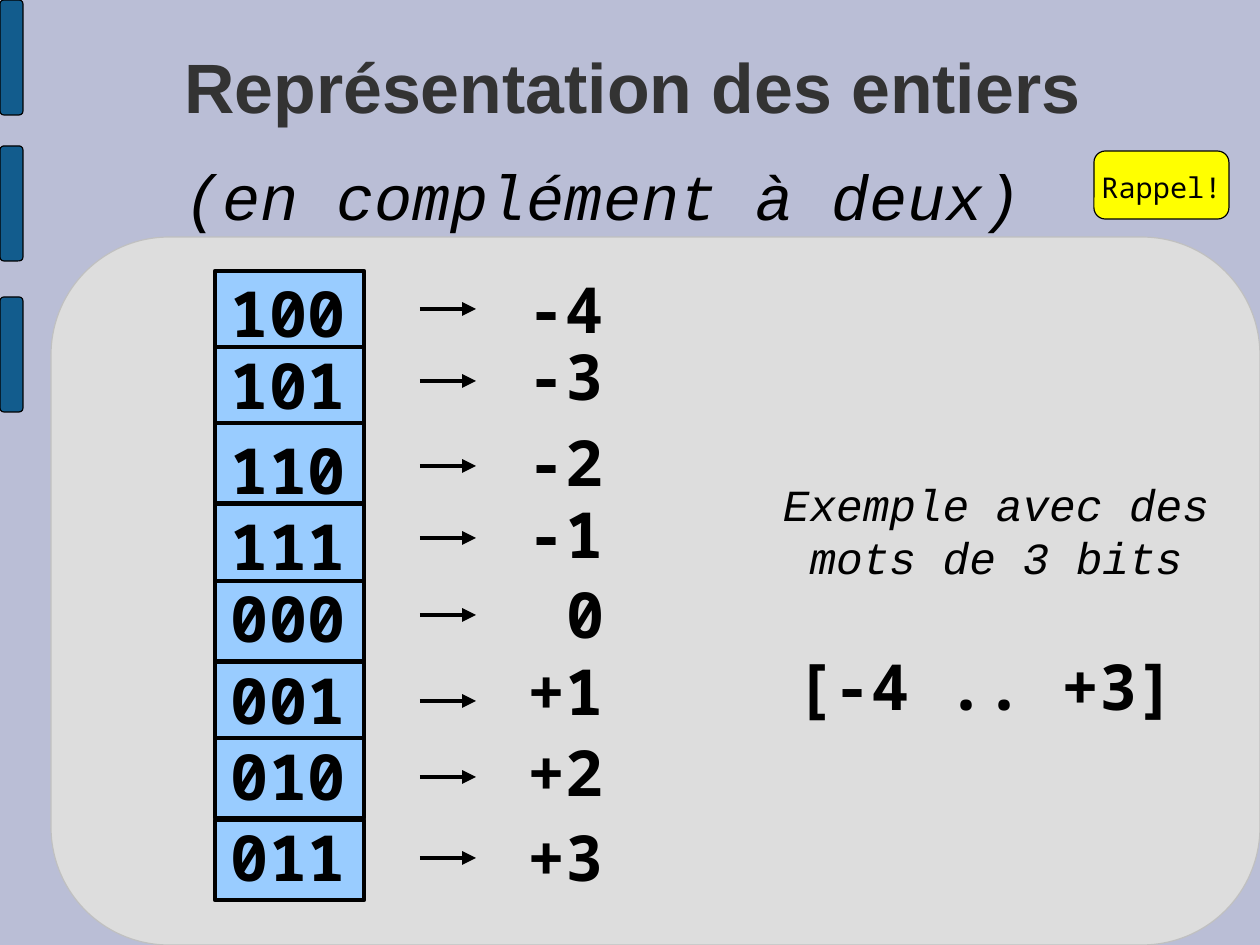
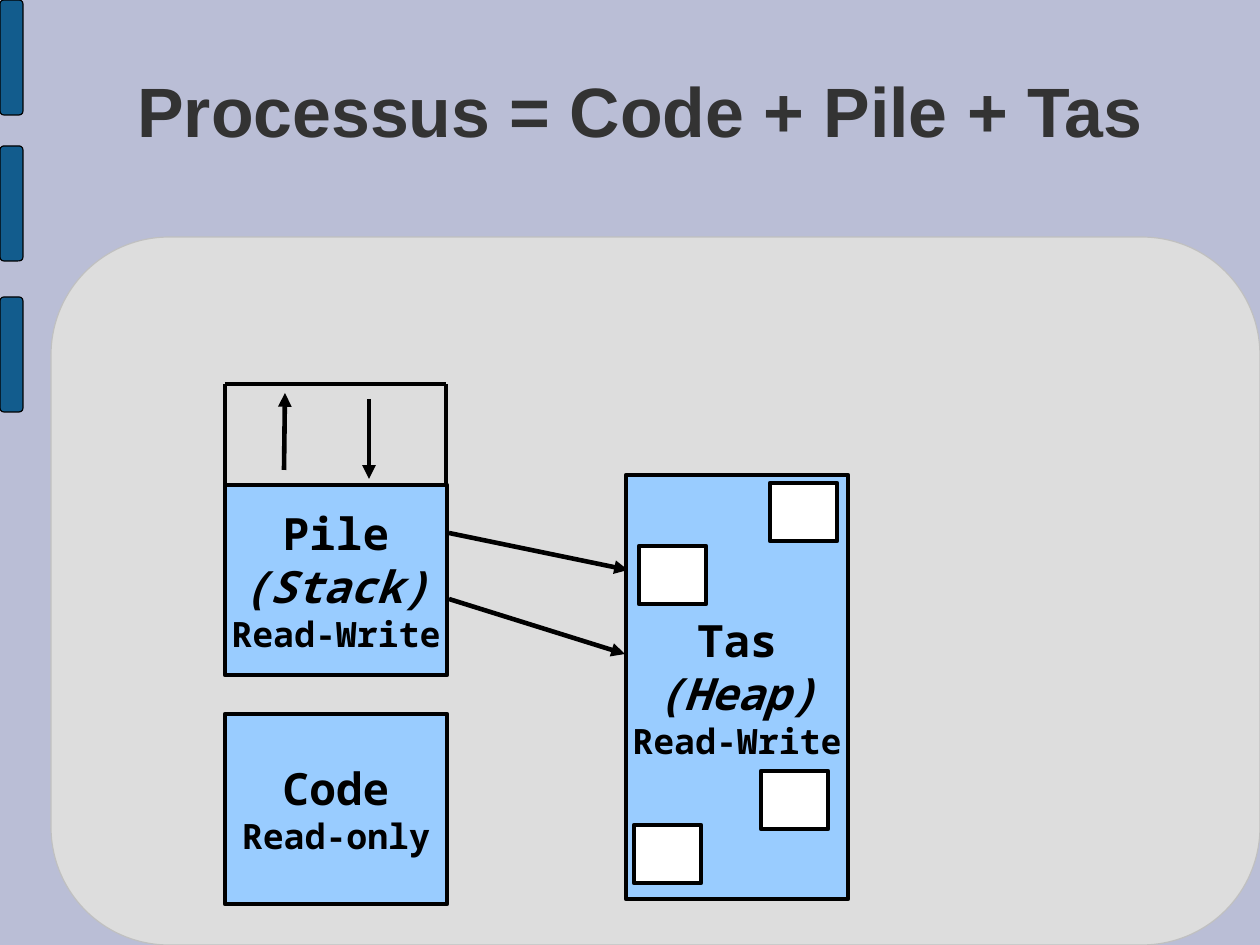
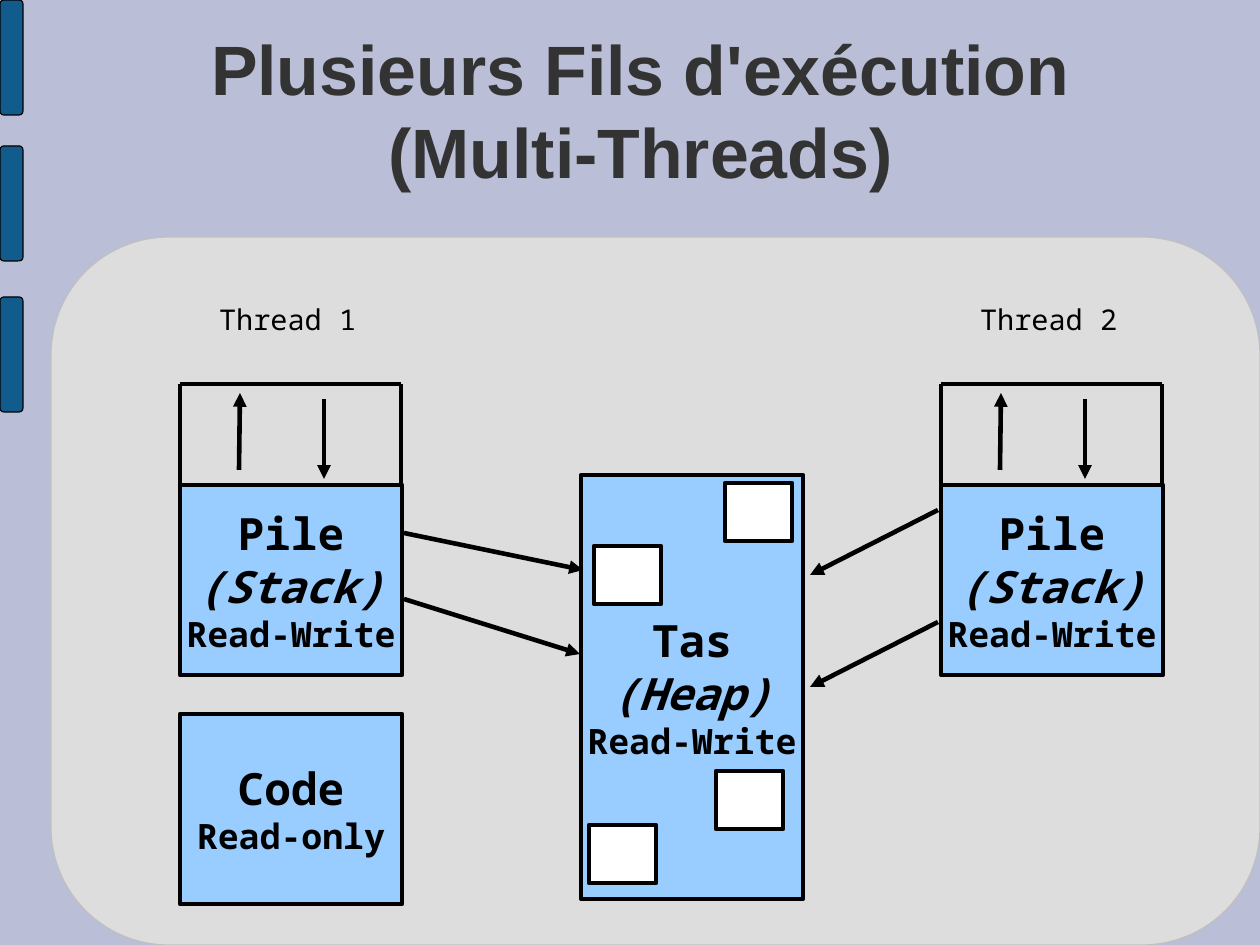
from pptx import Presentation
from pptx.dml.color import RGBColor
from pptx.enum.shapes import MSO_CONNECTOR, MSO_SHAPE
from pptx.enum.text import MSO_ANCHOR, PP_ALIGN
from pptx.oxml.ns import qn
from pptx.util import Pt
from lxml import etree

PX = 8000
RECT, ROUNDED = MSO_SHAPE.RECTANGLE, MSO_SHAPE.ROUNDED_RECTANGLE
STRAIGHT = MSO_CONNECTOR.STRAIGHT
TOP, MIDDLE = MSO_ANCHOR.TOP, MSO_ANCHOR.MIDDLE
LEFT, CENTER, RIGHT = PP_ALIGN.LEFT, PP_ALIGN.CENTER, PP_ALIGN.RIGHT
THIN, THICK = Pt(0.75), Pt(2.89)

COLORS = {
    "background": "BABED6", "panel": "DDDDDD", "panel edge": "C0C0C0",
    "bar": "125C8D", "title": "333333", "ink": "000000",
    "memory": "99CCFF", "object": "FFFFFF", "note": "FFFF00",
}
COLORS = {part: RGBColor.from_string(value) for part, value in COLORS.items()}

MONO = "Noto Sans Mono"
TITLE = {"name": "Arial", "size": Pt(44), "bold": True}
SUBTITLE = {"name": "Courier New", "size": Pt(40), "italic": True}
EXAMPLE = {"name": "Courier New", "size": Pt(28), "italic": True}
NUMBER = {"name": MONO, "size": Pt(40), "bold": True}
REGION = {"name": MONO, "size": Pt(28), "bold": True}
ENGLISH = {**REGION, "italic": True}
ACCESS = {**REGION, "size": Pt(22)}
LABEL = {"name": MONO, "size": Pt(18)}

CODE = [("Code", REGION), ("Read-only", ACCESS)]
STACK = [("Pile", REGION), ("(Stack)", ENGLISH), ("Read-Write", ACCESS)]
HEAP = [("Tas", REGION), ("(Heap)", ENGLISH), ("Read-Write", ACCESS)]


def add_box(slide, bounds, lines=(), fill=None, edge="ink", width=THICK, kind=RECT,
            anchor=MIDDLE, align=CENTER, ink="ink", spacing=None):
    bounds = [value * PX for value in bounds]
    if fill:
        box = slide.shapes.add_shape(kind, *bounds)
        box.shadow.inherit = False
        box.fill.solid()
        box.fill.fore_color.rgb = COLORS[fill]
        box.line.color.rgb = COLORS[edge]
        box.line.width = width
    else:
        box = slide.shapes.add_textbox(*bounds)
    frame = box.text_frame
    layout = {"word_wrap": True, "vertical_anchor": anchor, "margin_left": 0,
              "margin_right": 0, "margin_top": 0, "margin_bottom": 0}
    for attribute, value in layout.items():
        setattr(frame, attribute, value)
    for index, (text, style) in enumerate(lines):
        paragraph = frame.add_paragraph() if index else frame.paragraphs[0]
        paragraph.text = text
        paragraph.alignment = align
        paragraph.line_spacing = spacing
        for run in paragraph.runs:
            run.font.color.rgb = COLORS[ink]
            for attribute, value in style.items():
                setattr(run.font, attribute, value)


def add_line(slide, start, end, arrow=True):
    line = slide.shapes.add_connector(STRAIGHT, *[value * PX for value in (*start, *end)])
    line.line.color.rgb = COLORS["ink"]
    line.line.width = THICK
    if arrow:
        etree.SubElement(line.line._get_or_add_ln(), qn("a:tailEnd"), type="triangle")
    etree.SubElement(line._element.spPr, qn("a:effectLst"))


prs = Presentation()
prs.slide_width, prs.slide_height = 1260 * PX, 945 * PX
background = prs.slide_master.background.fill
background.solid()
background.fore_color.rgb = COLORS["background"]

titles = [
    ("Représentation des entiers", (95, 23, 1076, 131)),
    ("Processus = Code + Pile + Tas", (33, 31, 1216, 163)),
    ("Plusieurs Fils d'exécution\v(Multi-Threads)", (33, 31, 1216, 163)),
]
slides = []
for title, bounds in titles:
    slide = prs.slides.add_slide(prs.slide_layouts[6])
    add_box(slide, (51, 237, 1209, 708), fill="panel", edge="panel edge", width=THIN, kind=ROUNDED)
    for bar_top in (0, 146, 297):
        add_box(slide, (0, bar_top, 23, 115), fill="bar", width=THIN, kind=ROUNDED)
    add_box(slide, bounds, [(title, TITLE)], ink="title", spacing=0.99)
    slides.append(slide)
integers, process, threads = slides

add_box(integers, (184, 157, 869, 77), [("(en complément à deux)", SUBTITLE)], anchor=TOP, align=LEFT)
words = [
    ("100", "-4", 271, 274, 309, 270),
    ("101", "-3", 347, 346, 381, 337),
    ("110", "-2", 423, 431, 466, 423),
    ("111", "-1", 504, 507, 538, 495),
    ("000", "0", 581, 579, 615, 575),
    ("001", "+1", 662, 661, 701, 652),
    ("010", "+2", 738, 737, 777, 733),
    ("011", "+3", 820, 818, 858, 818),
]
for bits, value, cell_top, bits_top, arrow_y, value_top in words:
    add_box(integers, (215, cell_top, 149, 80), fill="memory")
    add_box(integers, (231, bits_top, 141, 85), [(bits, NUMBER)], anchor=TOP, align=LEFT)
    add_line(integers, (420, arrow_y), (476, arrow_y))
    add_box(integers, (484, value_top, 120, 85), [(value, NUMBER)], anchor=TOP, align=RIGHT)
add_box(integers, (746, 477, 500, 120), [("Exemple avec des mots de 3 bits", EXAMPLE)], anchor=TOP)
add_box(integers, (795, 647, 400, 85), [("[-4 .. +3]", NUMBER)], anchor=TOP, align=LEFT)
add_box(integers, (1094, 151, 135, 68), [("Rappel!", LABEL)], fill="note", width=THIN,
        kind=ROUNDED, spacing=Pt(24))

for slide, main_left, stack_lefts in ((process, 225, [225]), (threads, 180, [180, 941])):
    heap_left = main_left + 401
    add_box(slide, (main_left, 714, 222, 190), CODE, fill="memory")
    add_box(slide, (heap_left, 475, 222, 424), HEAP, fill="memory")
    for offset, top in ((144, 483), (8, 825), (13, 546), (135, 771)):
        add_box(slide, (heap_left + offset, top, 67, 58), fill="object")
    for start_y, reach, end_y in ((533, 403, 570), (599, 400, 654)):
        add_line(slide, (main_left + 224, start_y), (main_left + reach, end_y))
    for left in stack_lefts:
        right = left + 221
        add_box(slide, (left, 485, 222, 190), STACK, fill="memory")
        for start, end in (((left, 485), (left, 384)), ((right, 485), (right, 384)),
                           ((left, 384), (right, 384))):
            add_line(slide, start, end, arrow=False)
        add_line(slide, (left + 59, 470), (left + 60, 393))
        add_line(slide, (left + 144, 399), (left + 144, 479))

for start_y in (510, 622):
    add_line(threads, (938, start_y), (810, start_y + 65))
for name, left in (("Thread 1", 219), ("Thread 2", 980)):
    add_box(threads, (left, 302, 150, 39), [(name, LABEL)], anchor=TOP, align=LEFT)

prs.save("out.pptx")
